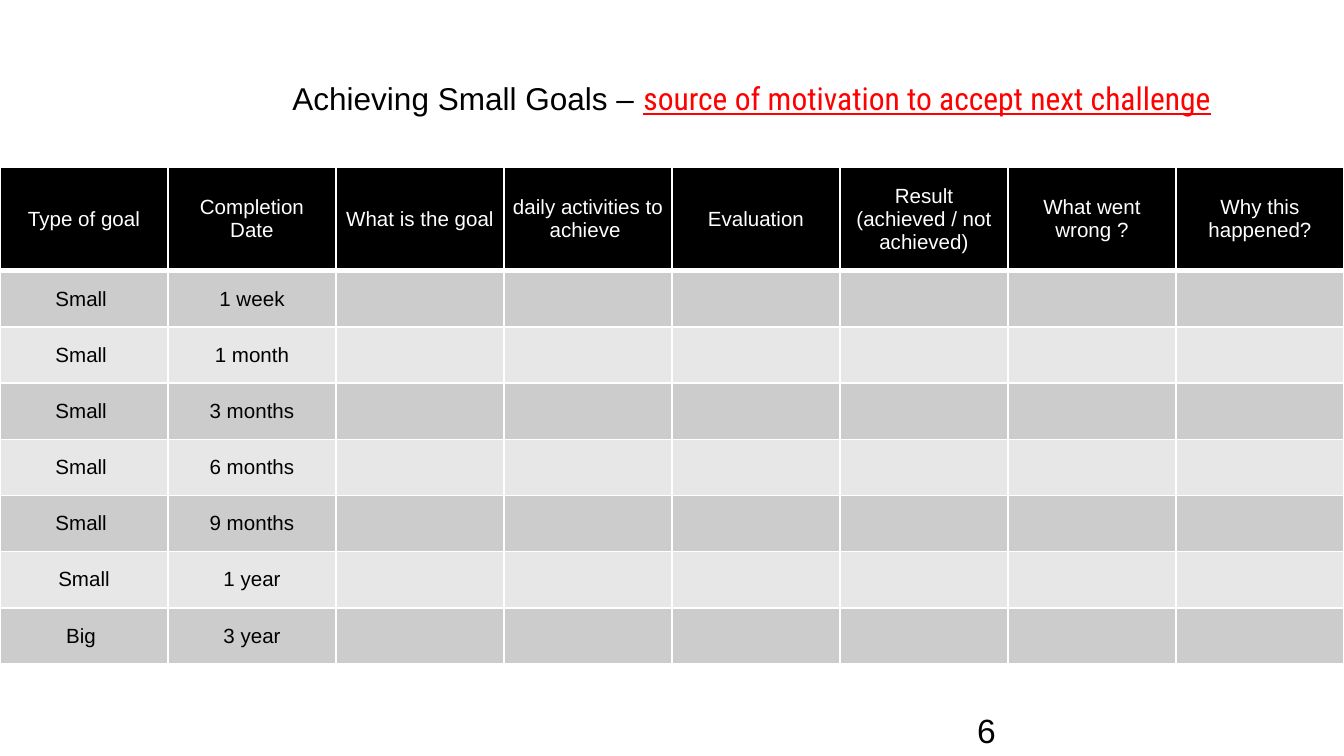
from lxml.etree import SubElement
from pptx import Presentation
from pptx.dml.color import RGBColor
from pptx.enum.text import MSO_ANCHOR as Anchor, PP_ALIGN as Align
from pptx.oxml.ns import qn
from pptx.util import Emu, Pt

PAGE_WIDTH, PAGE_HEIGHT = 1344, 756
EMU_PER_PX = 9144000 / PAGE_WIDTH
BLACK, WHITE, RED = "000000", "FFFFFF", "FF0000"
BANDS = ["CCCCCC", "E7E7E7"]
HEADERS = [
    "Type of goal",
    "Completion Date",
    "What is the goal",
    "daily activities to achieve ",
    "Evaluation",
    "Result\n(achieved / not achieved)",
    "What went wrong ?",
    "Why this happened?",
]
GOALS = [
    ("Small ", "1 week"),
    ("Small ", "1 month"),
    ("Small ", "3 months"),
    ("Small ", "6 months"),
    ("Small ", "9 months"),
    ("Small", "1 year"),
    ("Big ", "3 year"),
]


def px(length):
    return Emu(round(length * EMU_PER_PX))


def color(value):
    return RGBColor.from_string(value)


def write_text(para, text, size=11, font="Arial", fill=BLACK, underline=False, align=Align.CENTER):
    para.alignment = align
    span = para.add_run()
    span.text = text
    span.font.size = Pt(size)
    span.font.name = font
    span.font.bold = False
    span.font.underline = underline
    span.font.color.rgb = color(fill)


def add_text_box(page, box, top_margin):
    frame = page.shapes.add_textbox(*map(px, box)).text_frame
    frame.word_wrap = True
    frame.vertical_anchor = Anchor.TOP
    frame.margin_top = px(top_margin)
    return frame.paragraphs[0]


def set_border(cell, side, width):
    properties = cell._tc.get_or_add_tcPr()
    line = SubElement(properties, qn(f"a:{side}"), w=str(Pt(width)))
    fill = SubElement(line, qn("a:solidFill"))
    SubElement(fill, qn("a:srgbClr"), val=WHITE)


def format_cell(cell, text, fill, text_fill, bottom_width):
    for side in ("lnL", "lnR", "lnT"):
        set_border(cell, side, 1)
    set_border(cell, "lnB", bottom_width)
    cell.fill.solid()
    cell.fill.fore_color.rgb = color(fill)
    cell.vertical_anchor = Anchor.MIDDLE
    cell.margin_left = cell.margin_right = px(9)
    cell.margin_top = cell.margin_bottom = px(5)
    frame = cell.text_frame
    for index, line in enumerate(text.splitlines()):
        para = frame.add_paragraph() if index else frame.paragraphs[0]
        write_text(para, line, fill=text_fill)


def add_title(page, box):
    para = add_text_box(page, box, 8)
    write_text(para, "Achieving Small Goals – ", size=16.9)
    write_text(para, "source of motivation to accept next challenge", size=16.9,
               font="Roboto Condensed", fill=RED, underline=True)


def add_goal_table(page, box, header_height):
    left, top, width, height = box
    column_count = len(HEADERS)
    table = page.shapes.add_table(len(GOALS) + 1, column_count, *map(px, box)).table
    for column in table.columns:
        column.width = px(width / column_count)
    for row in table.rows:
        row.height = px((height - header_height) / len(GOALS))
    table.rows[0].height = px(header_height)
    for column, header in enumerate(HEADERS):
        format_cell(table.cell(0, column), header, BLACK, WHITE, 3)
    for row, goal in enumerate(GOALS):
        for column in range(column_count):
            text = goal[column] if column < len(goal) else ""
            format_cell(table.cell(row + 1, column), text, BANDS[row % 2], BLACK, 1)


def add_page_number(page, box):
    write_text(add_text_box(page, box, 10), "6", size=18, align=Align.LEFT)


def main():
    deck = Presentation()
    deck.slide_width, deck.slide_height = px(PAGE_WIDTH), px(PAGE_HEIGHT)
    page = deck.slides.add_slide(deck.slide_layouts[6])
    add_title(page, (227, 71, 1050, 67))
    add_goal_table(page, (0, 167, PAGE_WIDTH, 497), 104)
    add_page_number(page, (964, 700, 313, 40))
    deck.save("out.pptx")


if __name__ == "__main__":
    main()
